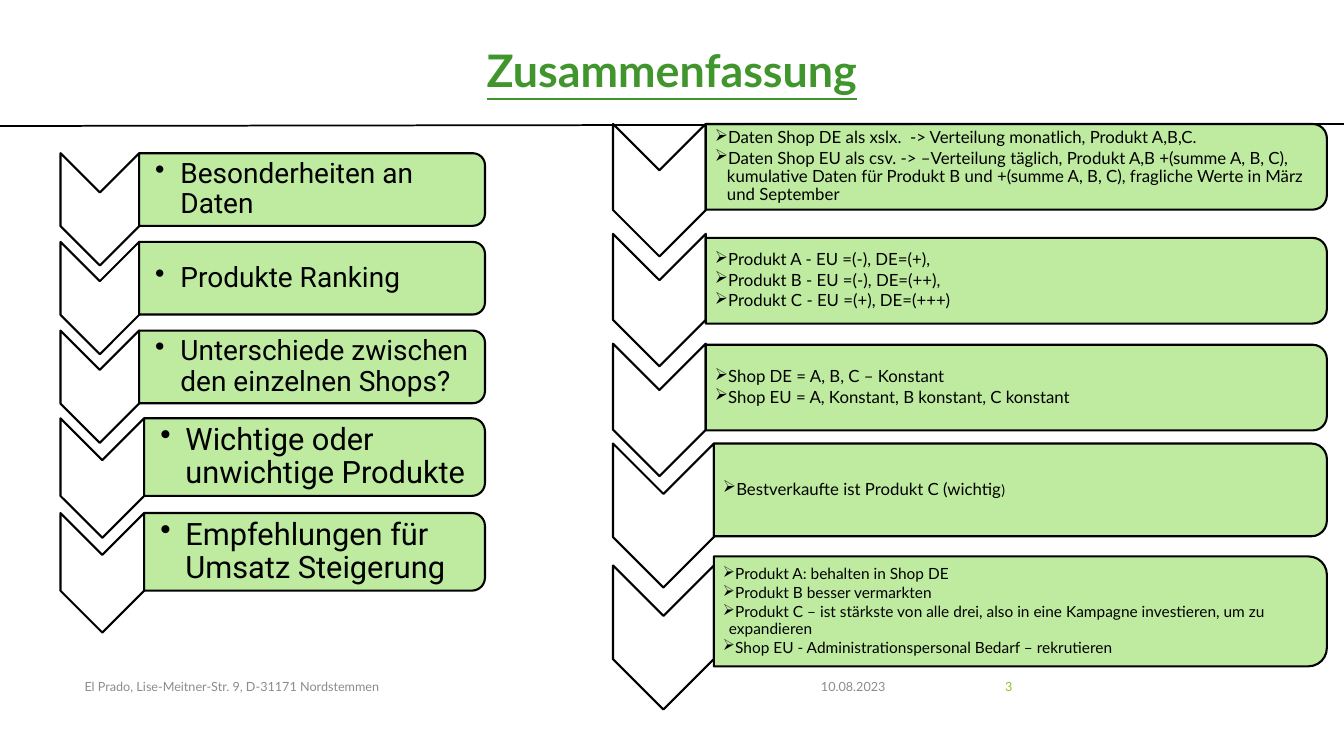
"""Build the summary slide with two columns of chevron steps."""
from dataclasses import dataclass

from lxml.etree import SubElement
from pptx import Presentation
from pptx.dml.color import RGBColor
from pptx.enum.shapes import MSO_CONNECTOR as Connector, MSO_SHAPE as Preset
from pptx.enum.text import MSO_ANCHOR as Anchor, MSO_AUTO_SIZE as AutoSize, PP_ALIGN as Align
from pptx.oxml.ns import qn
from pptx.shapes.autoshape import Shape
from pptx.slide import Slide
from pptx.util import Inches, Pt

BLACK = RGBColor(0x00, 0x00, 0x00)
WHITE = RGBColor(0xFF, 0xFF, 0xFF)
CARD_GREEN = RGBColor(0xB7, 0xE9, 0x96)
TITLE_GREEN = RGBColor(0x41, 0x95, 0x2D)
NUMBER_GREEN = RGBColor(0x90, 0xC2, 0x26)
FOOTER_GREY = RGBColor(0x8C, 0x8C, 0x8C)
CHEVRON_RATIO = 0.7
CARD_INSET = 0.048


@dataclass(frozen=True)
class Column:
    left: float
    right: float
    font: str
    bullet: str
    padding: float


@dataclass(frozen=True)
class Step:
    chevron_top: float
    chevron_width: float
    card_top: float
    card_height: float
    size: int
    indent: float
    items: tuple[tuple[tuple[str, int], ...], ...]


@dataclass(frozen=True)
class FooterPart:
    left: float
    width: float
    text: str
    color: RGBColor
    align: Align


def points(size: int, *texts: str) -> tuple[tuple[tuple[str, int], ...], ...]:
    """Turn plain texts into single-run list items of one size."""
    return tuple(((text, size),) for text in texts)


TOPICS = Column(0.6, 4.81, "Roboto", "•", 0.16)
FINDINGS = Column(6.08, 13.16, "Lato", "➢", 0.09)

STEPS = {
    TOPICS: (
        Step(1.52, 0.78, 1.52, 0.72, 20, 0.25, points(20, "Besonderheiten an Daten")),
        Step(2.4, 0.78, 2.4, 0.72, 20, 0.25, points(20, "Produkte Ranking")),
        Step(3.28, 0.78, 3.28, 0.72, 20, 0.25,
             points(20, "Unterschiede zwischen den einzelnen Shops?")),
        Step(4.15, 0.83, 4.15, 0.77, 22, 0.25, points(22, "Wichtige oder unwichtige Produkte")),
        Step(5.09, 0.83, 5.09, 0.77, 22, 0.25, points(22, "Empfehlungen für Umsatz Steigerung")),
    ),
    FINDINGS: (
        Step(1.23, 0.92, 1.23, 0.85, 12, 0.12, points(
            12,
            "Daten Shop DE als xslx.  -> Verteilung monatlich, Produkt A,B,C.",
            "Daten Shop EU als csv. -> –Verteilung täglich, Produkt A,B +(summe A, B, C), "
            "kumulative Daten für Produkt B und +(summe A, B, C), "
            "fragliche Werte in März und September")),
        Step(2.32, 0.92, 2.36, 0.85, 12, 0.12, points(
            12,
            "Produkt A - EU =(-), DE=(+),",
            "Produkt B - EU =(-), DE=(++),",
            "Produkt C - EU =(+), DE=(+++)")),
        Step(3.41, 0.92, 3.42, 0.85, 12, 0.12, points(
            12,
            "Shop DE = A, B, C – Konstant",
            "Shop EU = A, Konstant, B konstant, C konstant")),
        Step(4.4, 1, 4.4, 0.92, 12, 0.12,
             ((("Bestverkaufte ist Produkt C (wichtig", 12), (")", 10)),)),
        Step(5.61, 1, 5.52, 1.09, 11, 0.06, points(
            11,
            "Produkt A: behalten in Shop DE",
            "Produkt B besser vermarkten",
            "Produkt C – ist stärkste von alle drei, also in eine Kampagne investieren, "
            "um zu expandieren",
            "Shop EU - Administrationspersonal Bedarf – rekrutieren")),
    ),
}

FOOTER = (
    FooterPart(7.88, 1, "10.08.2023", FOOTER_GREY, Align.RIGHT),
    FooterPart(0.74, 6.89, "El Prado, Lise-Meitner-Str. 9, D-31171 Nordstemmen",
               FOOTER_GREY, Align.LEFT),
    FooterPart(9.39, 0.75, "3", NUMBER_GREEN, Align.RIGHT),
)


def add_run(paragraph, text: str, font: str, size: int, color: RGBColor):
    """Append one formatted run and return it."""
    run = paragraph.add_run()
    run.text = text
    run.font.name = font
    run.font.size = Pt(size)
    run.font.color.rgb = color
    return run


def add_textbox(slide: Slide, left: float, top: float, width: float, height: float):
    """Add a wrapping, vertically centred text box and return its frame."""
    box = slide.shapes.add_textbox(Inches(left), Inches(top), Inches(width), Inches(height))
    frame = box.text_frame
    frame.word_wrap = True
    frame.vertical_anchor = Anchor.MIDDLE
    return frame


def add_turned(slide: Slide, preset: Preset, left: float, top: float,
               width: float, height: float, fill: RGBColor) -> Shape:
    """Add a shape turned by 90 degrees that covers the given area."""
    shift = (width - height) / 2
    shape = slide.shapes.add_shape(preset, Inches(left + shift), Inches(top - shift),
                                   Inches(height), Inches(width))
    shape.rotation = 90
    shape.shadow.inherit = False
    shape.fill.solid()
    shape.fill.fore_color.rgb = fill
    shape.line.color.rgb = BLACK
    shape.line.width = Pt(1.5)
    return shape


def set_bullet(paragraph, bullet: str, indent: float) -> None:
    """Give a paragraph a hanging bullet."""
    properties = paragraph._p.get_or_add_pPr()
    properties.set("marL", str(Inches(indent)))
    properties.set("indent", str(-Inches(indent)))
    SubElement(properties, qn("a:buChar")).set("char", bullet)


def add_step(slide: Slide, column: Column, step: Step) -> None:
    """Draw a chevron, its card and the list on the card."""
    add_turned(slide, Preset.CHEVRON, column.left, step.chevron_top,
               step.chevron_width, step.chevron_width / CHEVRON_RATIO, WHITE)
    card_left = column.left + step.chevron_width
    card_width = column.right - card_left
    card = add_turned(slide, Preset.ROUND_2_SAME_RECTANGLE, card_left, step.card_top,
                      card_width, step.card_height, CARD_GREEN)
    card_color = card.fill._xPr.find(qn("a:solidFill"))[0]
    SubElement(card_color, qn("a:alpha")).set("val", "90000")

    inset = step.card_height * CARD_INSET
    frame = add_textbox(slide, card_left, step.card_top + inset,
                        card_width - inset, step.card_height - 2 * inset)
    frame.margin_left = Inches(column.padding)
    frame.margin_top = frame.margin_right = frame.margin_bottom = Inches(0.01)
    for index, item in enumerate(step.items):
        paragraph = frame.add_paragraph() if index else frame.paragraphs[0]
        paragraph.line_spacing = 0.9
        paragraph.space_after = Pt(step.size * 0.15)
        set_bullet(paragraph, column.bullet, step.indent)
        for text, size in item:
            add_run(paragraph, text, column.font, size, BLACK)


def add_title(slide: Slide) -> None:
    """Fill the title placeholder and draw the rule below it."""
    heading = slide.shapes.title
    heading.left, heading.top = Inches(2.42), Inches(0.11)
    heading.width, heading.height = Inches(8.49), Inches(1.14)
    frame = heading.text_frame
    frame.auto_size = AutoSize.NONE
    frame.vertical_anchor = Anchor.TOP
    paragraph = frame.paragraphs[0]
    paragraph.alignment = Align.CENTER
    paragraph.line_spacing = 1.5
    run = add_run(paragraph, "Zusammenfassung", "Lato", 32, TITLE_GREEN)
    run.font.bold = run.font.underline = True

    rule = slide.shapes.add_connector(Connector.STRAIGHT, 0, Inches(1.25),
                                      Inches(13.33), Inches(1.23))
    rule.line.color.rgb = BLACK
    rule.line.width = Pt(1.25)
    SubElement(rule._element.spPr, qn("a:effectLst"))


def main() -> None:
    """Build and save the slide."""
    deck = Presentation()
    deck.slide_width, deck.slide_height = Inches(13.33), Inches(7.5)
    slide = deck.slides.add_slide(deck.slide_layouts[5])
    add_title(slide)
    for part in FOOTER:
        paragraph = add_textbox(slide, part.left, 6.61, part.width, 0.4).paragraphs[0]
        paragraph.alignment = part.align
        add_run(paragraph, part.text, "Lato", 9, part.color)
    for column, steps in STEPS.items():
        for step in steps:
            add_step(slide, column, step)
    deck.save("out.pptx")


if __name__ == "__main__":
    main()
